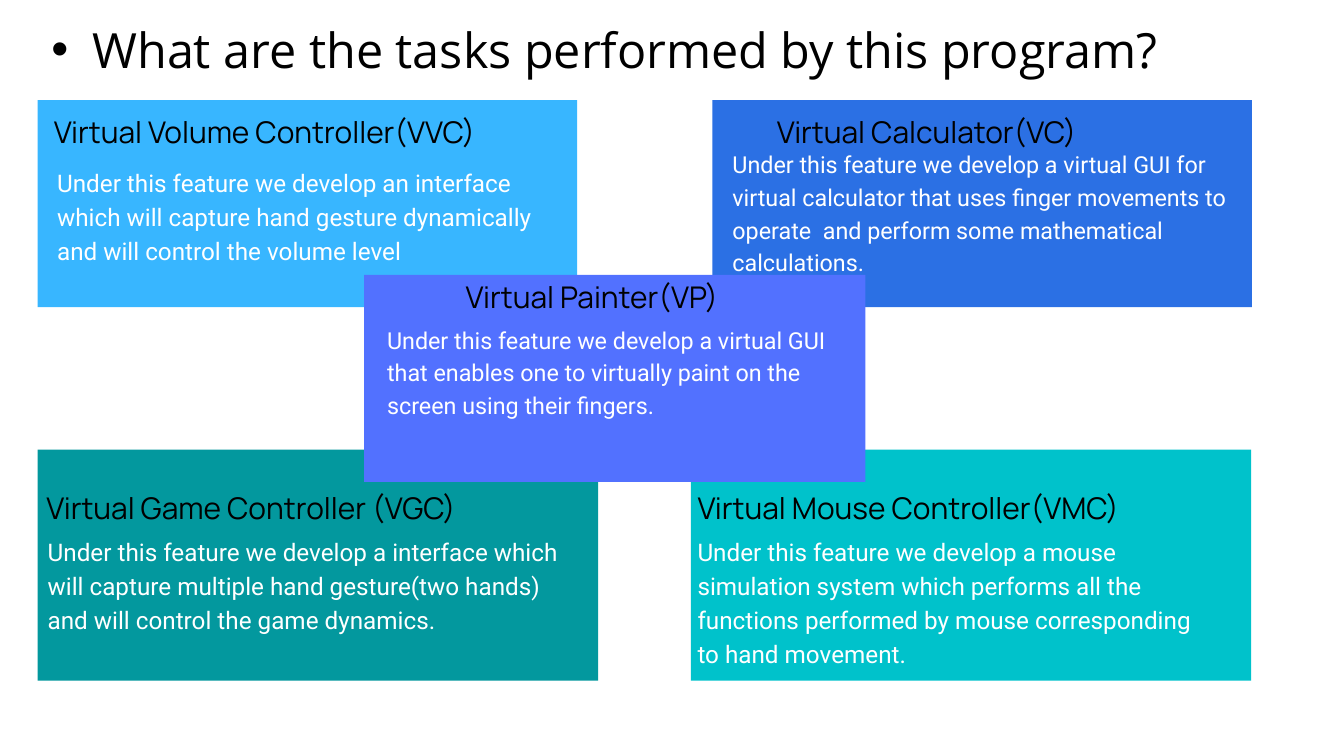
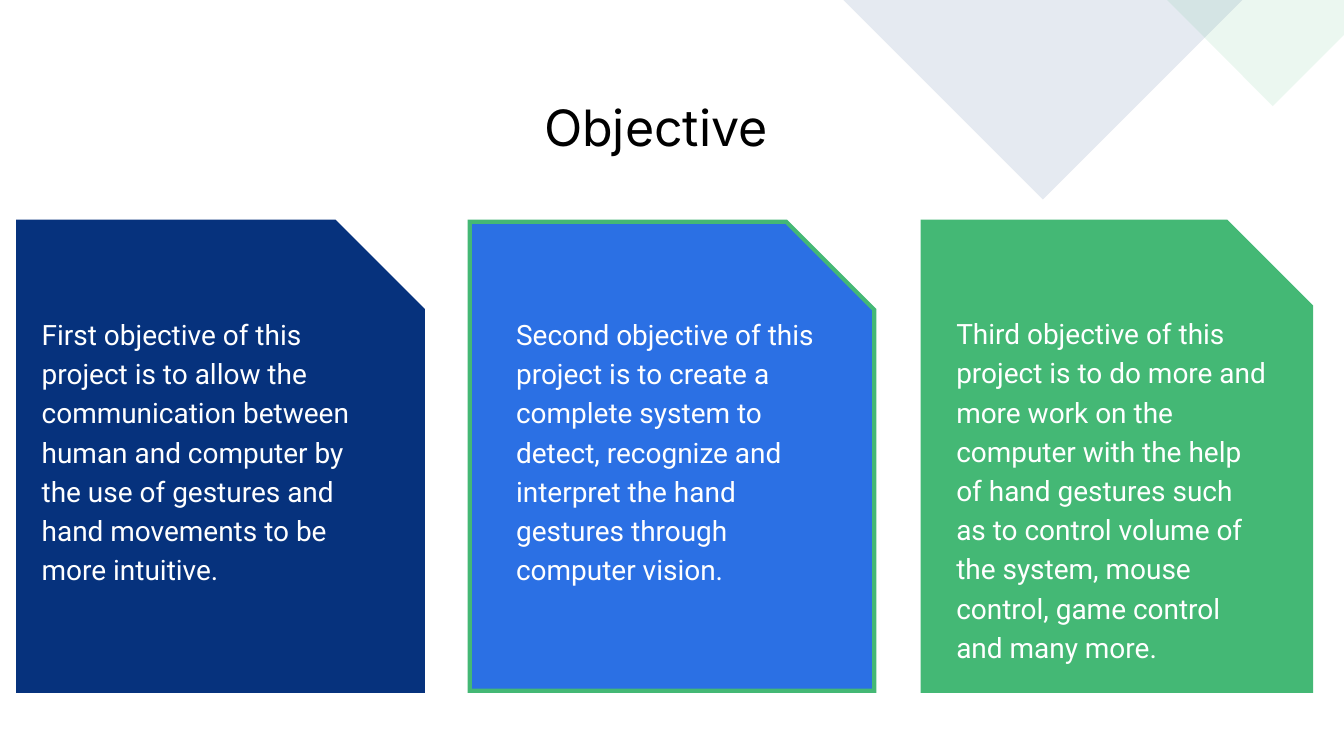
"""Build two slides: the tasks of a hand gesture program and its objectives."""
from lxml.etree import SubElement
from pptx import Presentation
from pptx.dml.color import RGBColor as RGB
from pptx.enum.shapes import MSO_SHAPE as SHAPE
from pptx.enum.text import MSO_AUTO_SIZE as AUTO, PP_ALIGN as ALIGN
from pptx.oxml.ns import qn
from pptx.util import Inches, Pt

COLORS = {
    "black": "000000", "white": "FFFFFF", "sky": "38B6FF", "teal": "03989E",
    "cyan": "00C2CB", "blue": "2B70E4", "violet": "5271FF", "navy": "06327D",
    "green": "44B875",
}
FORMATS = {
    "heading": {"name": "Manrope", "size": Pt(32), "color": "black"},
    "question": {"name": "Open Sans", "size": Pt(52), "color": "black"},
    "title": {"name": "Inter", "size": Pt(53.7), "color": "black"},
    "body": {"name": "Roboto", "size": Pt(26), "color": "white"},
    "compact": {"name": "Roboto", "size": Pt(25), "color": "white"},
    "objective": {"name": "Roboto", "size": Pt(30), "color": "white"},
}
LEADING = 1.4


def add_text(s, at, text, style, align=ALIGN.LEFT, bullet=False):
    tf = s.shapes.add_textbox(*map(Inches, at)).text_frame
    tf.word_wrap = True
    tf.auto_size = AUTO.SHAPE_TO_FIT_TEXT
    for side in ("left", "top", "right", "bottom"):
        setattr(tf, f"margin_{side}", 0)
    p = tf.paragraphs[0]
    p.alignment = align
    p.line_spacing = Pt(round(FORMATS[style]["size"].pt * LEADING, 1))
    if bullet:
        p.level = 1
        pPr = p._p.get_or_add_pPr()
        pPr.set("marL", str(Inches(1.23)))
        pPr.set("indent", str(Inches(-0.61)))
        SubElement(pPr, qn("a:buFont")).set("typeface", "Arial")
        SubElement(pPr, qn("a:buChar")).set("char", "•")
    r = p.add_run()
    r.text = text
    for key, value in FORMATS[style].items():
        if key == "color":
            r.font.color.rgb = RGB.from_string(COLORS[value])
        else:
            setattr(r.font, key, value)


def add_outline(s, points, fill):
    points = [(Inches(x), Inches(y)) for x, y in points]
    fb = s.shapes.build_freeform(*points[0])
    fb.add_line_segments(points[1:], close=True)
    sp = fb.convert_to_shape()
    sp.shadow.inherit = False
    sp.fill.solid()
    sp.fill.fore_color.rgb = RGB.from_string(COLORS[fill])
    sp.line.fill.background()
    return sp


prs = Presentation()
prs.slide_width, prs.slide_height = Inches(20), Inches(11.25)
blank = prs.slide_layouts[6]

s = prs.slides.add_slide(blank)
blocks = [
    ((0.56, 1.49, 8.03, 3.08), "sky"),
    ((0.56, 6.69, 8.34, 3.44), "teal"),
    ((10.28, 6.69, 8.34, 3.44), "cyan"),
    ((10.6, 1.49, 8.03, 3.08), "blue"),
    ((5.42, 4.09, 7.46, 3.08), "violet"),
]
for at, color in blocks:
    sp = s.shapes.add_shape(SHAPE.RECTANGLE, *map(Inches, at))
    sp.shadow.inherit = False
    sp.fill.solid()
    sp.fill.fore_color.rgb = RGB.from_string(COLORS[color])
    sp.line.fill.background()

add_text(s, (-0.06, 0.15, 17.5, 0.97), "What are the tasks performed by this program?",
         "question", ALIGN.CENTER, bullet=True)

tasks = [
    ("Virtual Volume Controller(VVC)", (0.8, 1.6, 8.19, 0.62),
     "Under this feature we develop an interface which will capture hand gesture "
     "dynamically and will control the volume level",
     (0.85, 2.43, 7.73, 1.99), "body"),
    ("Virtual Mouse Controller(VMC)", (10.38, 7.19, 7.31, 0.62),
     "Under this feature we develop a mouse simulation system which performs all the "
     "functions performed by mouse corresponding to hand movement.",
     (10.38, 7.92, 7.73, 1.99), "body"),
    ("Virtual Game Controller (VGC)", (0.69, 7.19, 7.9, 0.62),
     "Under this feature we develop a interface which will capture multiple hand "
     "gesture(two hands) and will control the game dynamics.",
     (0.71, 7.92, 7.73, 1.99), "body"),
    ("Virtual Painter(VP)", (6.93, 4.06, 5.41, 0.62),
     "Under this feature we develop a virtual GUI that enables one to virtually paint "
     "on the screen using their fingers.",
     (5.76, 4.78, 7.12, 1.43), "compact"),
    ("Virtual Calculator(VC)", (11.56, 1.6, 7.31, 0.62),
     "Under this feature we develop a virtual GUI for virtual calculator that uses "
     "finger movements to operate  and perform some mathematical calculations.",
     (10.9, 2.17, 7.73, 1.91), "compact"),
]
for heading, heading_at, body, body_at, style in tasks:
    add_text(s, heading_at, heading, "heading")
    add_text(s, body_at, body, style)

s = prs.slides.add_slide(blank)
add_text(s, (4.88, 1.29, 9.76, 1.02), "Objective", "title", ALIGN.CENTER)

top, bottom = 3.3, 10.28
objectives = [
    (0.27, 6.02, 1.31, "navy", "navy", (0.62, 4.64, 4.65, 4.56),
     "First objective of this project is to allow the communication between human and "
     "computer by the use of gestures and hand movements to be more intuitive."),
    (6.99, 6.02, 1.31, "blue", "green", (7.68, 4.64, 4.65, 3.99),
     "Second objective of this project is to create a complete system to detect, "
     "recognize and interpret the hand gestures through computer vision."),
    (13.73, 5.78, 1.26, "green", "green", (14.23, 4.63, 4.65, 5.24),
     "Third objective of this project is to do more and more work on the computer with "
     "the help of hand gestures such as to control volume of the system, mouse control, "
     "game control and many more."),
]
for left, width, cut, fill, edge, at, text in objectives:
    right = left + width
    sp = add_outline(s, [(left, top), (right - cut, top), (right, top + cut),
                         (right, bottom), (left, bottom)], fill)
    sp.line.color.rgb = RGB.from_string(COLORS[edge])
    sp.line.width = Pt(4.5)
    SubElement(sp.line._get_or_add_ln(), qn("a:miter")).set("lim", "800000")
    add_text(s, at, text, "objective")

corners = [
    ([(12.55, 0), (18.49, 0), (15.52, 2.97)], "navy"),
    ([(17.37, 0), (20, 0), (20, 0.52), (18.94, 1.58)], "green"),
]
for points, color in corners:
    sp = add_outline(s, points, color)
    clr = sp._element.spPr.find(qn("a:solidFill")).find(qn("a:srgbClr"))
    SubElement(clr, qn("a:alpha")).set("val", "10000")

prs.save("out.pptx")
